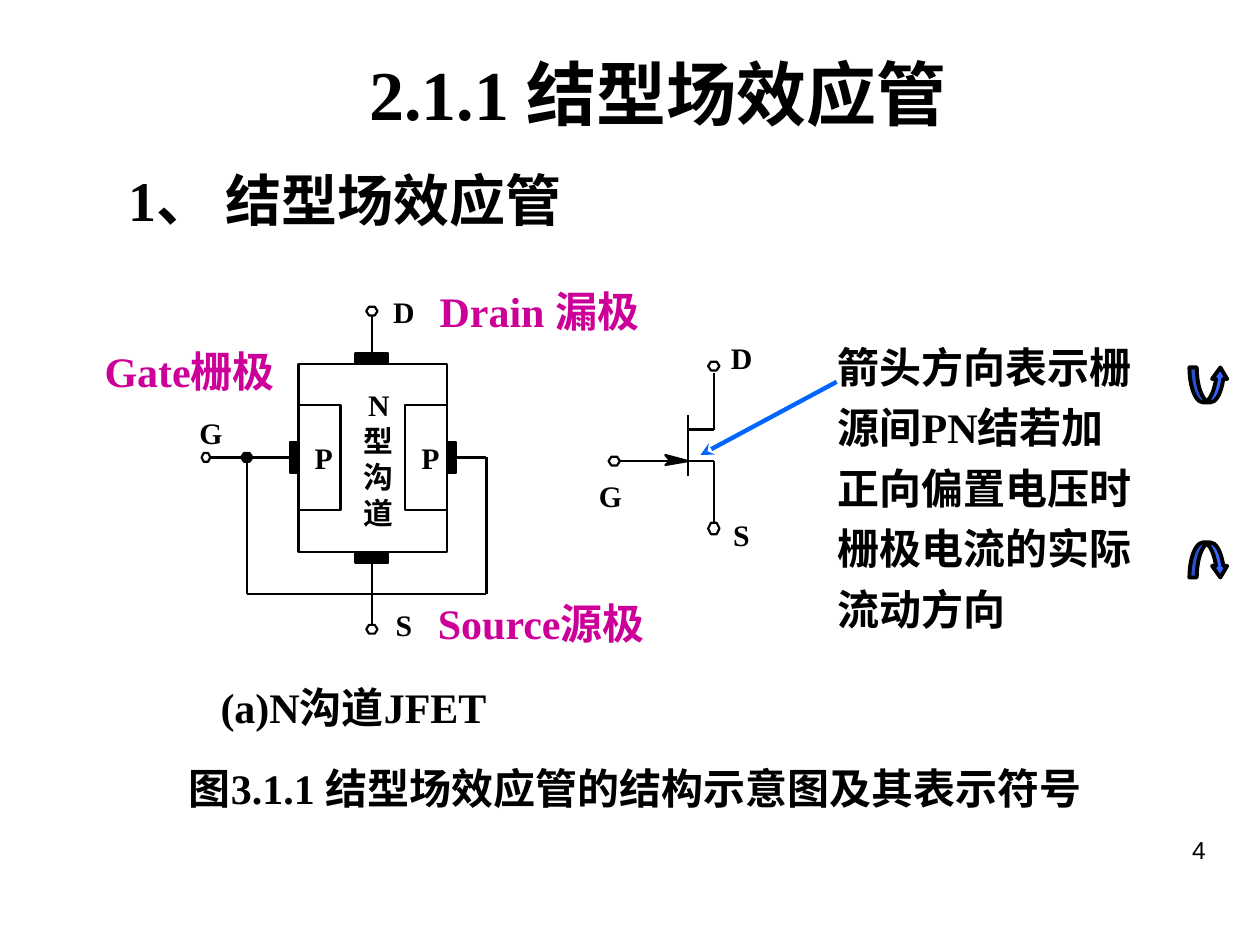
from dataclasses import dataclass

from lxml.etree import SubElement
from pptx import Presentation
from pptx.dml.color import RGBColor
from pptx.enum.shapes import MSO_CONNECTOR, MSO_SHAPE
from pptx.enum.text import MSO_ANCHOR, MSO_AUTO_SIZE, PP_ALIGN
from pptx.oxml.ns import qn
from pptx.util import Pt


@dataclass(frozen=True)
class Theme:
    """Colours, fonts, type sizes and line widths of the slide."""
    ink: RGBColor = RGBColor(0, 0, 0)
    paper: RGBColor = RGBColor(255, 255, 255)
    accent: RGBColor = RGBColor(0xCC, 0, 0x99)
    pointer: RGBColor = RGBColor(0, 0x66, 0xFF)
    button: RGBColor = RGBColor(0x33, 0x66, 0xFF)
    latin: str = "Times New Roman"
    chinese: str = "Noto Sans CJK SC"
    number_font: str = "Arial"
    title: int = 40
    heading: int = 32
    body: int = 24
    label: int = 17
    number: int = 14
    stroke: float = 1.25
    pointer_stroke: float = 2.5
    button_stroke: float = 2.25


THEME = Theme()


def write(shape, text, size, color=THEME.ink, align=PP_ALIGN.LEFT, spacing=1.0,
          wrap=True, inset=True, bold=True, font=THEME.latin):
    """Fill a text shape with one formatted paragraph."""
    frame = shape.text_frame
    frame.text = text
    frame.word_wrap = wrap
    frame.auto_size = MSO_AUTO_SIZE.NONE
    frame.vertical_anchor = MSO_ANCHOR.TOP
    frame.margin_left = frame.margin_right = Pt(7.2 if inset else 0)
    frame.margin_top = frame.margin_bottom = Pt(3.6 if inset else 0)
    paragraph = frame.paragraphs[0]
    properties = paragraph._p.get_or_add_pPr()
    properties.set("marL", "0")
    properties.set("indent", "0")
    SubElement(properties, qn("a:buNone"))
    paragraph.alignment = align
    paragraph.line_spacing = spacing
    paragraph.space_before = Pt(0)
    paragraph.font.size = Pt(size)
    paragraph.font.bold = bold
    paragraph.font.name = font
    paragraph.font.color.rgb = color
    SubElement(properties.find(qn("a:defRPr")), qn("a:ea"), typeface=THEME.chinese)


def add_text(shapes, box, text, size, **style):
    """Add a text box at (left, top, width, height)."""
    write(shapes.add_textbox(*map(Pt, box)), text, size, **style)


def fill_placeholder(placeholder, box, text, size, **style):
    """Move a placeholder to a box and write in it."""
    placeholder.left, placeholder.top, placeholder.width, placeholder.height = map(Pt, box)
    write(placeholder, text, size, **style)


def paint(shape, fill, stroke=THEME.stroke):
    """Give a shape a flat fill and a dark outline."""
    shape.shadow.inherit = False
    shape.fill.solid()
    shape.fill.fore_color.rgb = fill
    shape.line.color.rgb = THEME.ink
    shape.line.width = Pt(stroke)


def add_line(shapes, start, end, color=THEME.ink, width=THEME.stroke):
    """Add a straight connector between two points."""
    line = shapes.add_connector(MSO_CONNECTOR.STRAIGHT, *map(Pt, (*start, *end)))
    line.line.color.rgb = color
    line.line.width = Pt(width)
    SubElement(line._element.spPr, qn("a:effectLst"))
    return line


class Diagram:
    """A group of circuit parts placed relative to its top left corner."""

    def __init__(self, slide, left, top):
        self.shapes = slide.shapes.add_group_shape().shapes
        self.left, self.top = left, top

    def at(self, x, y):
        """Turn a point of the diagram into a point of the slide."""
        return self.left + x, self.top + y

    def wire(self, *points):
        """Join the points with straight wires."""
        for start, end in zip(points, points[1:]):
            add_line(self.shapes, self.at(*start), self.at(*end))

    def block(self, x, y, width, height, fill):
        """Add a rectangle."""
        box = (*self.at(x, y), width, height)
        paint(self.shapes.add_shape(MSO_SHAPE.RECTANGLE, *map(Pt, box)), fill)

    def polygon(self, points, fill):
        """Add a closed outline."""
        corners = [tuple(map(Pt, self.at(*point))) for point in points]
        builder = self.shapes.build_freeform(*corners[0])
        builder.add_line_segments(corners[1:], close=True)
        paint(builder.convert_to_shape(), fill)

    def terminal(self, x, y, fill=THEME.paper, width=6.5, height=5):
        """Add a small hexagon centred on a point."""
        steps = ((-.5, 0), (-.25, -.5), (.25, -.5), (.5, 0), (.25, .5), (-.25, .5))
        self.polygon([(x + dx * width, y + dy * height) for dx, dy in steps], fill)

    def label(self, text, x, y):
        """Add a label centred on x with its top at y."""
        add_text(self.shapes, (*self.at(x - 9, y), 18, 20), text, THEME.label,
                 align=PP_ALIGN.CENTER, wrap=False, inset=False)


def add_structure(slide, left, top):
    """Draw the cross-section of the N-channel transistor."""
    diagram = Diagram(slide, left, top)
    axis, middle = 98.5, 93.4
    body_left, body_top, body_width, body_height = 56.6, 40.1, 85, 107.3
    body_right, body_bottom = body_left + body_width, body_top + body_height
    junction, loop_right, loop_bottom = 27, 164, 171.5
    diagram.wire((axis, 9.8), (axis, 189))
    diagram.wire((3.4, middle), (loop_right, middle), (loop_right, loop_bottom),
                 (junction, loop_bottom), (junction, middle))
    diagram.block(body_left, body_top, body_width, body_height, THEME.paper)
    for x in (body_left, body_right - 24):
        diagram.block(x, middle - 29.8, 24, 59.8, THEME.paper)
        diagram.label("P", x + 14.4, 83.3)
    for y in (body_top - 6.5, body_bottom):
        diagram.block(axis - 9.4, y, 18.8, 6.5, THEME.ink)
    for x in (body_left - 5, body_right):
        diagram.block(x, middle - 9, 5, 18, THEME.ink)
    for row, character in enumerate("N型沟道"):
        diagram.label(character, 102.5, 53 + 20.6 * row)
    for x, y in ((axis, 9.8), (axis, 191.6)):
        diagram.terminal(x, y)
    diagram.terminal(3.7, middle, width=5)
    diagram.terminal(junction, middle, THEME.ink)
    for text, x, y in (("D", 116.8, 0), ("G", 6.6, 69), ("S", 116.8, 179)):
        diagram.label(text, x, y)


def add_symbol(slide, left, top):
    """Draw the circuit symbol of the transistor."""
    diagram = Diagram(slide, left, top)
    bar, lead, drain, gate = 51.1, 66.2, 51.5, 69.5
    diagram.wire((bar, 78.2), (bar, 43))
    diagram.wire((bar, drain), (lead, drain), (lead, 19))
    diagram.wire((9.4, gate), (lead, gate), (lead, 105))
    diagram.terminal(9, gate)
    diagram.terminal(lead - .3, 15.2)
    diagram.terminal(lead - .3, 108, height=6.5)
    diagram.polygon([(38.2, 71.7), (41, gate), (38.2, 66), (bar, gate)], THEME.ink)
    for text, x, y in (("D", 81.7, 0), ("S", 81.7, 101.2), ("G", 6.8, 79)):
        diagram.label(text, x, y)


def add_explanation(slide, left, top):
    """Write the note on the arrow direction and point at the symbol."""
    add_text(slide.shapes, (left, top, 186.5, 180),
             "箭头方向表示栅源间PN结若加正向偏置电压时栅极电流的实际流动方向",
             THEME.body, spacing=1.2)
    pointer = add_line(slide.shapes, (left + 6.5, top + 32.4), (left - 71.3, top + 74.2),
                       THEME.pointer, THEME.pointer_stroke)
    SubElement(pointer._element.spPr.find(qn("a:ln")), qn("a:tailEnd"), type="stealth")


def add_captions(slide):
    """Name the electrodes and caption the figure."""
    for text, box in (("Gate栅极", (49.7, 193.7, 117.4, 36)),
                      ("Source源极", (239.8, 337.7, 139, 36)),
                      ("Drain 漏极", (241.2, 159.8, 134, 36))):
        add_text(slide.shapes, box, text, THEME.body, color=THEME.accent,
                 align=PP_ALIGN.CENTER, wrap=False)
    add_text(slide.shapes, (113, 386, 178, 36), "(a)N沟道JFET", THEME.body,
             align=PP_ALIGN.CENTER, wrap=False)
    add_text(slide.shapes, (100.8, 432, 558, 36),
             "图3.1.1 结型场效应管的结构示意图及其表示符号", THEME.body,
             align=PP_ALIGN.JUSTIFY)


def add_navigation(slide, left, top):
    """Add the curved page arrows and the page number."""
    for kind, y in ((MSO_SHAPE.CURVED_UP_ARROW, top),
                    (MSO_SHAPE.CURVED_DOWN_ARROW, top + 100)):
        arrow = slide.shapes.add_shape(kind, *map(Pt, (left, y, 22, 20)))
        for index, value in enumerate((.21, .43, .33)):
            arrow.adjustments[index] = value
        paint(arrow, THEME.button, THEME.button_stroke)
    add_text(slide.shapes, (left - 163.5, top + 263.8, 180, 37.4), "4", THEME.number,
             align=PP_ALIGN.RIGHT, bold=False, font=THEME.number_font)


def main():
    """Build and save the slide."""
    presentation = Presentation()
    presentation.slide_width, presentation.slide_height = Pt(720), Pt(540)
    slide = presentation.slides.add_slide(presentation.slide_layouts[1])
    fill_placeholder(slide.shapes.title, (203.8, 25.2, 355, 55.4),
                     "2.1.1 结型场效应管", THEME.title)
    fill_placeholder(slide.placeholders[1], (66.2, 79.2, 488, 57.6),
                     "1、 结型场效应管", THEME.heading, spacing=1.3)
    add_navigation(slide, 679.7, 210)
    add_structure(slide, 114, 168)
    add_symbol(slide, 342, 194)
    add_captions(slide)
    add_explanation(slide, 471.6, 185.8)
    presentation.save("out.pptx")


if __name__ == "__main__":
    main()
